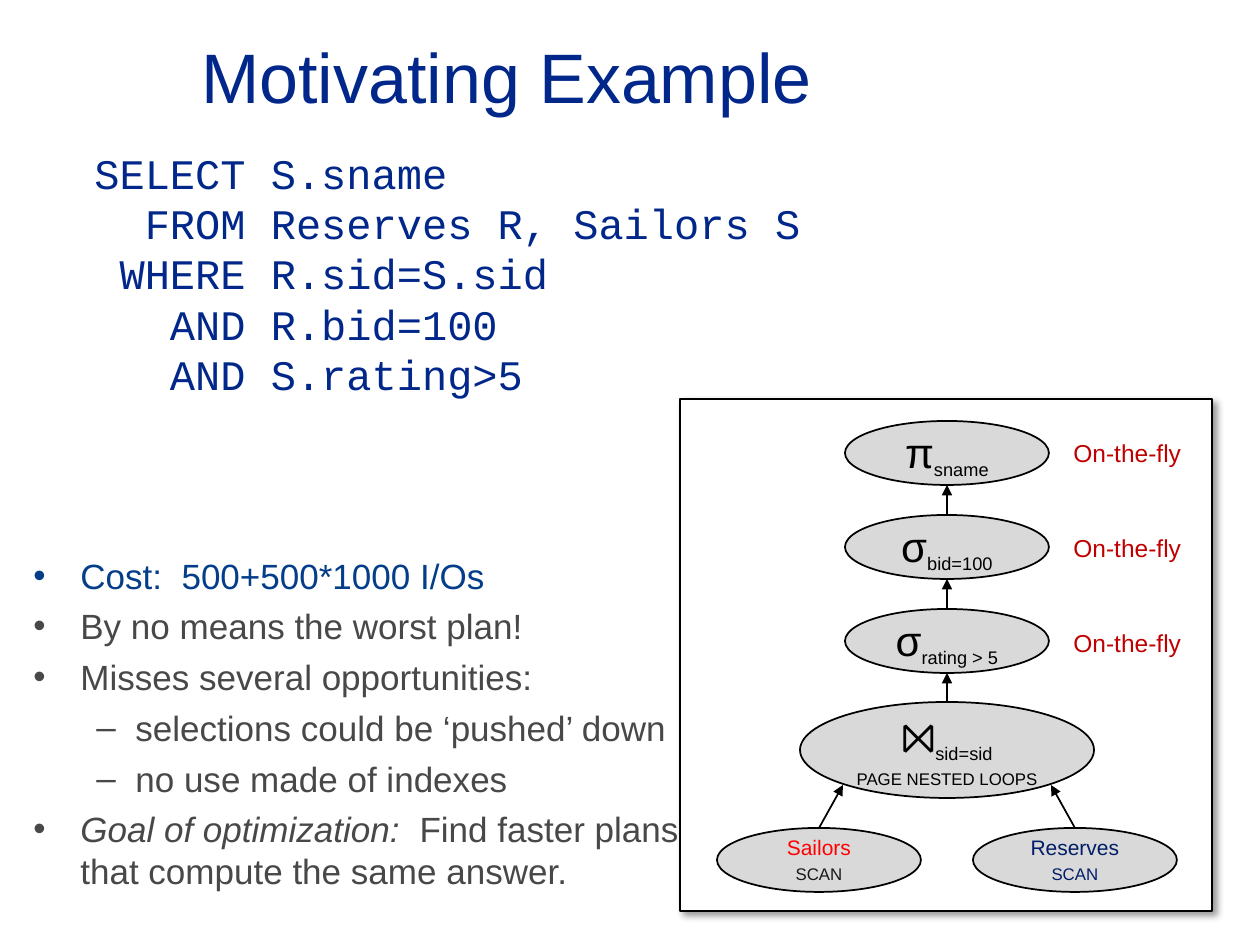
from lxml import etree
from pptx import Presentation
from pptx.dml.color import RGBColor
from pptx.enum.shapes import MSO_CONNECTOR as Connector, MSO_SHAPE as Preset
from pptx.enum.text import MSO_ANCHOR as Anchor, PP_ALIGN as Align
from pptx.oxml import parse_xml
from pptx.oxml.ns import nsdecls, qn
from pptx.util import Emu, Pt

NAVY = RGBColor(0x00, 0x27, 0x89)
BLUE = RGBColor(0x04, 0x3D, 0x89)
DEEP_NAVY = RGBColor(0x00, 0x1D, 0x67)
GRAY = RGBColor(0x48, 0x48, 0x48)
CHARCOAL = RGBColor(0x18, 0x18, 0x18)
BLACK = RGBColor(0x00, 0x00, 0x00)
WHITE = RGBColor(0xFF, 0xFF, 0xFF)
SILVER = RGBColor(0xD9, 0xD9, 0xD9)
RED = RGBColor(0xFF, 0x00, 0x00)
CRIMSON = RGBColor(0xC0, 0x00, 0x00)


def px(length):
    """Turn pixels into EMU."""
    return Emu(round(length * 914400 / 126))


def add_span(para, text, size, color, font="Arial", italic=False, **marks):
    """Add one run; marks are extra run attributes such as baseline or cap."""
    span = para.add_run()
    span.text = text
    span.font.size = Pt(size)
    span.font.name = font
    span.font.color.rgb = color
    if italic:
        span.font.italic = True
    for name, value in marks.items():
        span.font._element.set(name, value)


def add_text_box(shapes, box, anchor=Anchor.TOP, wrap=True):
    """Add an empty text box and return its text frame."""
    frame = shapes.add_textbox(*map(px, box)).text_frame
    frame.word_wrap = wrap
    frame.vertical_anchor = anchor
    return frame


def paragraphs(frame, items):
    """Yield a paragraph of the frame with each item."""
    for index, item in enumerate(items):
        yield frame.add_paragraph() if index else frame.paragraphs[0], item


def add_title(page, box):
    """Add the slide title."""
    frame = add_text_box(page.shapes, box, Anchor.MIDDLE)
    add_span(frame.paragraphs[0], "Motivating Example", 40, NAVY)


def add_query(page, box):
    """Add the SQL query, one paragraph a line."""
    lines = ["SELECT S.sname", "  FROM Reserves R, Sailors S",
             " WHERE R.sid=S.sid", "   AND R.bid=100", "   AND S.rating>5"]
    frame = add_text_box(page.shapes, box)
    for para, line in paragraphs(frame, lines):
        add_span(para, line, 24, NAVY, "Courier New")


def add_bullets(page, box):
    """Add the two-level list of remarks on the plan."""
    remarks = [
        (0, [("Cost:  500+500*1000 I/Os", BLUE, False)]),
        (0, [("By no means the worst plan!", GRAY, False)]),
        (0, [("Misses several opportunities:", GRAY, False)]),
        (1, [("selections could be ‘pushed’ down", GRAY, False)]),
        (1, [("no use made of indexes", GRAY, False)]),
        (0, [("Goal of optimization:  ", GRAY, True),
             ("Find faster plans that compute the same answer.", GRAY, False)]),
    ]
    styles = [("•", 47, -47), ("–", 102, -39)]
    frame = add_text_box(page.shapes, box, Anchor.BOTTOM)
    for para, (level, spans) in paragraphs(frame, remarks):
        mark, margin, indent = styles[level]
        para.level = level
        para.space_before = Pt(5)
        props = para._p.get_or_add_pPr()
        props.set("marL", str(px(margin)))
        props.set("indent", str(px(indent)))
        etree.SubElement(props, qn("a:buFont")).set("typeface", "Arial")
        etree.SubElement(props, qn("a:buChar")).set("char", mark)
        for text, color, italic in spans:
            add_span(para, text, 20, color, italic=italic)


def add_filled(shapes, preset, box, fill, width):
    """Add a black-outlined preset shape without a shadow."""
    shape = shapes.add_shape(preset, *map(px, box))
    shape.shadow.inherit = False
    shape.fill.solid()
    shape.fill.fore_color.rgb = fill
    shape.line.color.rgb = BLACK
    shape.line.width = Pt(width)
    return shape


def add_panel(shapes, box):
    """Add the white frame with its soft shadow."""
    panel = add_filled(shapes, Preset.RECTANGLE, box, WHITE, 1.5)
    effects = panel._element.spPr.find(qn("a:effectLst"))
    effects.append(parse_xml(
        f'<a:outerShdw {nsdecls("a")} blurRad="{Pt(4)}" dist="{Pt(3)}" dir="2700000" '
        'algn="tl" rotWithShape="0"><a:srgbClr val="000000"><a:alpha val="40000"/>'
        '</a:srgbClr></a:outerShdw>'))


def add_node(shapes, box):
    """Add a plan node and return its first, centred paragraph."""
    frame = add_filled(shapes, Preset.OVAL, box, SILVER, 1).text_frame
    frame.word_wrap = True
    frame.vertical_anchor = Anchor.MIDDLE
    para = frame.paragraphs[0]
    para.alignment = Align.CENTER
    return frame, para


def add_operator(shapes, box, symbol, subscript):
    """Add a node that holds an operator with its subscript."""
    para = add_node(shapes, box)[1]
    add_span(para, symbol, 24, BLACK)
    add_span(para, subscript, 18, BLACK, baseline="-25000")
    return para


def add_arrow(shapes, start, end):
    """Add a straight arrow that points at its end."""
    arrow = shapes.add_connector(Connector.STRAIGHT, *map(px, start + end))
    arrow.line.color.rgb = BLACK
    arrow.line.width = Pt(1)
    line = arrow.line._get_or_add_ln()
    etree.SubElement(line, qn("a:tailEnd")).set("type", "triangle")
    etree.SubElement(arrow._element.spPr, qn("a:effectLst"))


def add_plan(page, box):
    """Add the query plan tree inside its frame."""
    left, top, width, height = box
    shapes = page.shapes.add_group_shape().shapes
    add_panel(shapes, box)
    node_width, node_height, pitch, gap = 204, 64, 94, 30
    center = left + 267
    steps = [("π", "sname"), ("σ", "bid=100"), ("σ", "rating > 5")]
    for index, (symbol, subscript) in enumerate(steps):
        y = top + 22 + index * pitch
        add_operator(shapes, (center - node_width // 2, y, node_width, node_height),
                     symbol, subscript)
        add_arrow(shapes, (center, y + node_height + gap), (center, y + node_height))
        label = add_text_box(shapes, (left + 381, top + 33 + index * 95, 137, 42),
                             wrap=False)
        add_span(label.paragraphs[0], "On-the-fly", 14, CRIMSON)

    join = add_operator(shapes, (center - 147, top + 303, 294, 96), "⨝", "sid=sid")
    join.add_line_break()
    add_span(join, "page nested loops", 12, BLACK, cap="small")

    leaves = [(-1, "Sailors", RED, CHARCOAL), (1, "Reserves", DEEP_NAVY, DEEP_NAVY)]
    for side, table, color, scan_color in leaves:
        x, y = center + side * 128, top + 429
        frame, para = add_node(shapes, (x - node_width // 2, y, node_width, node_height))
        add_span(para, table, 12, color)
        scan = frame.add_paragraph()
        scan.alignment = Align.CENTER
        add_span(scan, "scan", 12, scan_color, cap="small")
        add_arrow(shapes, (x, y), (x - side * 24, y - 43))


def main():
    """Build the deck."""
    deck = Presentation()
    deck.slide_width, deck.slide_height = px(1260), px(945)
    page = deck.slides.add_slide(deck.slide_layouts[6])
    add_title(page, (189, 0, 1071, 152))
    add_bullets(page, (21, 399, 672, 499))
    add_query(page, (82, 141, 847, 267))
    add_plan(page, (680, 399, 532, 512))
    deck.save("out.pptx")


main()
